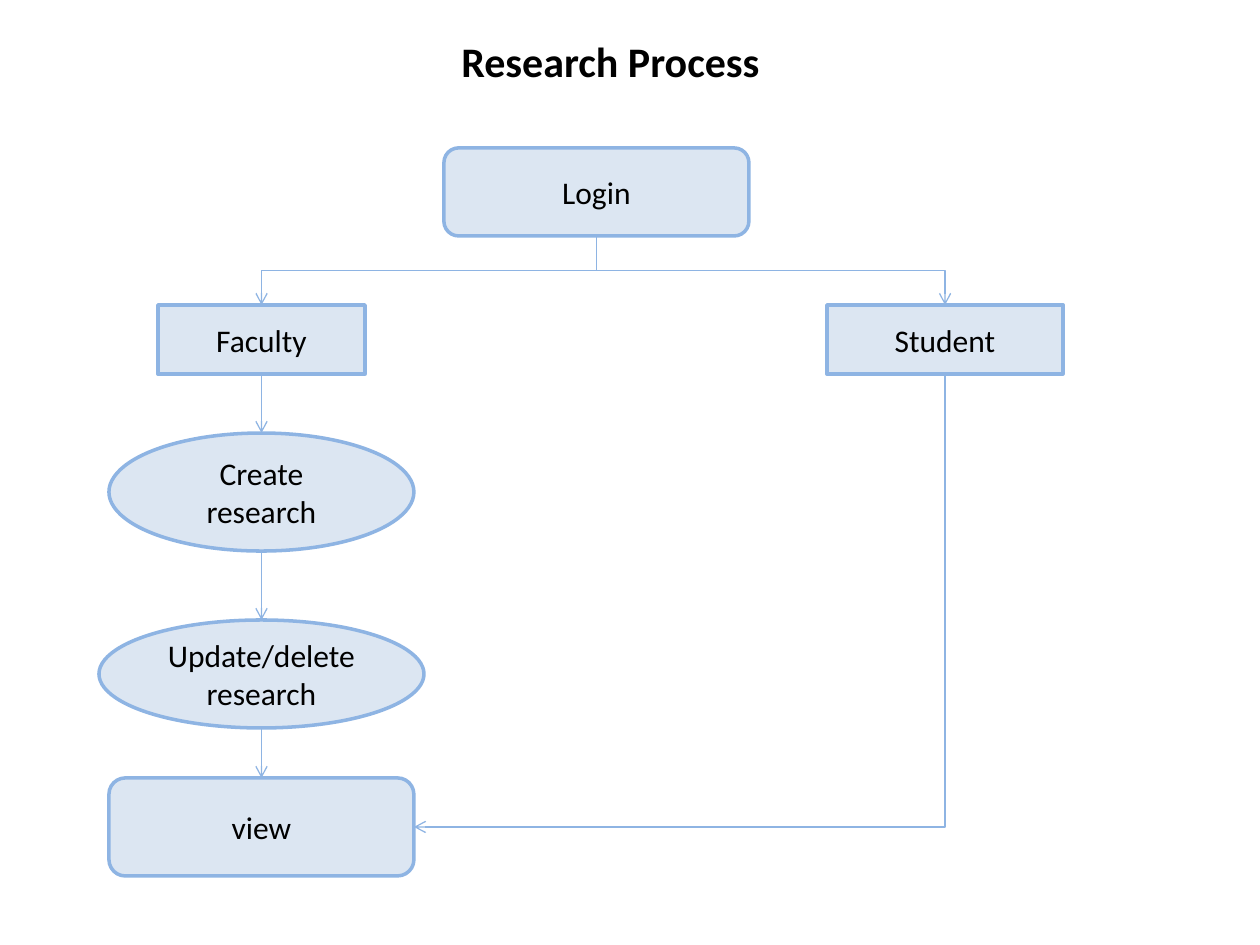
from lxml import etree
from pptx import Presentation
from pptx.dml.color import RGBColor
from pptx.enum.shapes import MSO_CONNECTOR as Link, MSO_SHAPE as Shape
from pptx.enum.text import MSO_ANCHOR as Anchor, PP_ALIGN as Align
from pptx.oxml.ns import qn
from pptx.util import Emu, Pt

SCALE = 914400 / 126
TOP, BOTTOM, RIGHT = 0, 2, 3


def px(length):
    return Emu(round(length * SCALE))


def color(value):
    return RGBColor.from_string(value)


class FlowSlide:
    font = "Calibri"
    ink = "000000"
    fill = "DCE6F2"
    line = "8EB4E3"

    def __init__(self, deck):
        self.shapes = deck.slides.add_slide(deck.slide_layouts[6]).shapes

    def set_text(self, frame, lines, size, bold=False):
        frame.word_wrap = True
        for index, text in enumerate(lines):
            para = frame.add_paragraph() if index else frame.paragraphs[0]
            para.text = text
            para.alignment = Align.CENTER
            para.font.name = self.font
            para.font.size = Pt(size)
            para.font.bold = bold
            para.font.color.rgb = color(self.ink)

    def title(self, text, left, top, width, height):
        box = self.shapes.add_textbox(px(left), px(top), px(width), px(height))
        self.set_text(box.text_frame, [text], 24, bold=True)

    def node(self, kind, center, top, width, height, *lines):
        box = self.shapes.add_shape(
            kind, px(center - width // 2), px(top), px(width), px(height))
        box.shadow.inherit = False
        box.fill.solid()
        box.fill.fore_color.rgb = color(self.fill)
        box.line.color.rgb = color(self.line)
        box.line.width = Pt(2)
        box.text_frame.vertical_anchor = Anchor.MIDDLE
        self.set_text(box.text_frame, lines, 18)
        return box

    def connect(self, kind, source, target, side=TOP):
        start_x, start_y = source.left + source.width // 2, source.top + source.height
        if side == RIGHT:
            end_x, end_y = target.left + target.width, target.top + target.height // 2
        else:
            end_x, end_y = target.left + target.width // 2, target.top
        arrow = self.shapes.add_connector(kind, start_x, start_y, end_x, end_y)
        if source.auto_shape_type != Shape.OVAL:
            arrow.begin_connect(source, BOTTOM)
        arrow.end_connect(target, side)
        arrow.line.color.rgb = color(self.line)
        arrow.line.width = Pt(0.75)
        etree.SubElement(arrow.line._get_or_add_ln(), qn("a:tailEnd"), type="arrow")
        etree.SubElement(arrow._element.spPr, qn("a:effectLst"))
        if kind == Link.ELBOW:
            self.turn(arrow, start_x, start_y, end_x, end_y)
        return arrow

    def turn(self, arrow, start_x, start_y, end_x, end_y):
        across, down = abs(end_x - start_x), end_y - start_y
        arrow.left = Emu((start_x + end_x - down) // 2)
        arrow.top = Emu((start_y + end_y - across) // 2)
        arrow.width, arrow.height = Emu(down), Emu(across)
        frame = arrow._element.spPr.find(qn("a:xfrm"))
        for flip in ("flipH", "flipV"):
            frame.attrib.pop(flip, None)
        if end_x > start_x:
            frame.set("rot", str(270 * 60000))
            frame.set("flipH", "1")
        else:
            frame.set("rot", str(90 * 60000))

    def corner(self, source, target, side):
        arrow = self.connect(Link.ELBOW, source, target, side)
        arrow._element.spPr.find(qn("a:prstGeom")).set("prst", "bentConnector2")


def main():
    deck = Presentation()
    deck.slide_width, deck.slide_height = px(1260), px(945)
    page = FlowSlide(deck)
    faculty_x, login_x, student_x = 261, 596, 945

    login = page.node(Shape.ROUNDED_RECTANGLE, login_x, 148, 305, 88, "Login")
    faculty = page.node(Shape.RECTANGLE, faculty_x, 305, 207, 69, "Faculty")
    student = page.node(Shape.RECTANGLE, student_x, 305, 236, 69, "Student")
    create = page.node(Shape.OVAL, faculty_x, 433, 305, 118, "Create research")
    update = page.node(Shape.OVAL, faculty_x, 620, 325, 108, "Update/delete", "research")
    view = page.node(Shape.ROUNDED_RECTANGLE, faculty_x, 778, 305, 98, "view")

    for role in (faculty, student):
        page.connect(Link.ELBOW, login, role)
    steps = [faculty, create, update, view]
    for source, target in zip(steps, steps[1:]):
        page.connect(Link.STRAIGHT, source, target)
    page.corner(student, view, RIGHT)

    page.title("Research Process", 0, 29, 1221, 63)
    deck.save("out.pptx")


if __name__ == "__main__":
    main()
